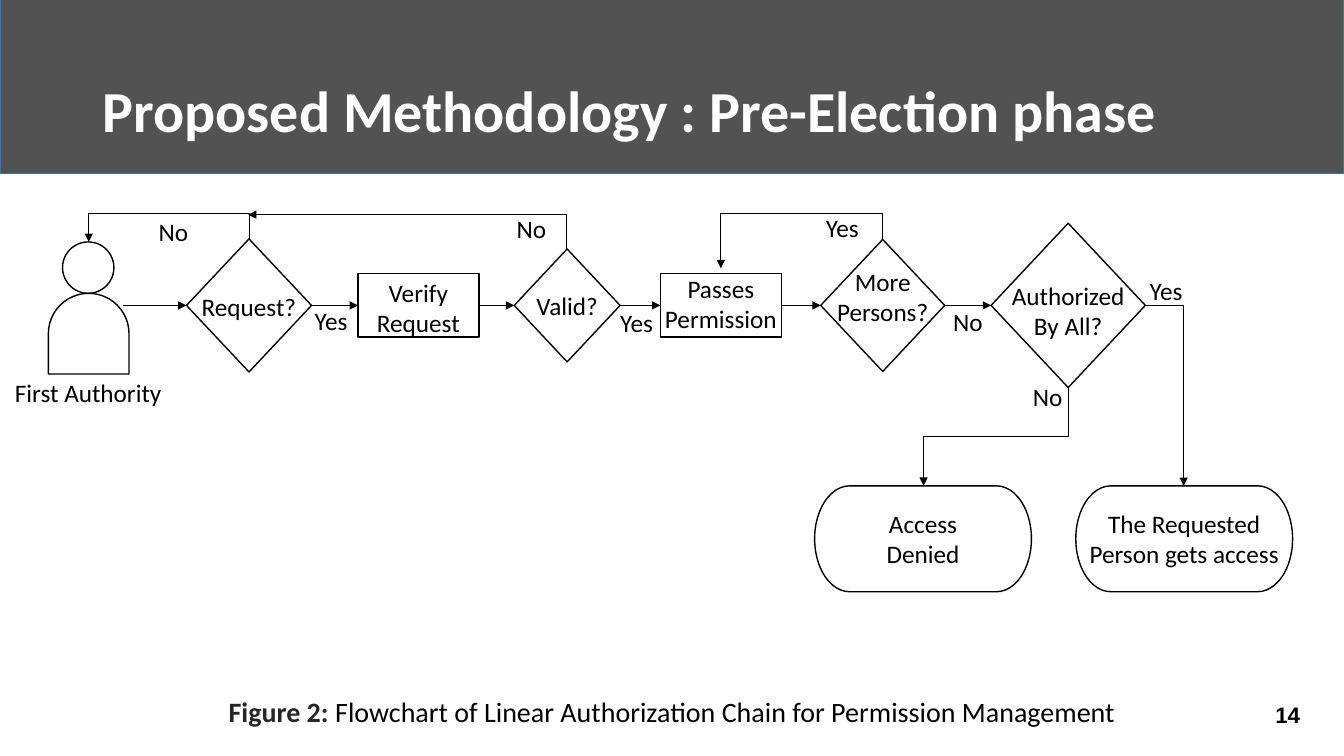
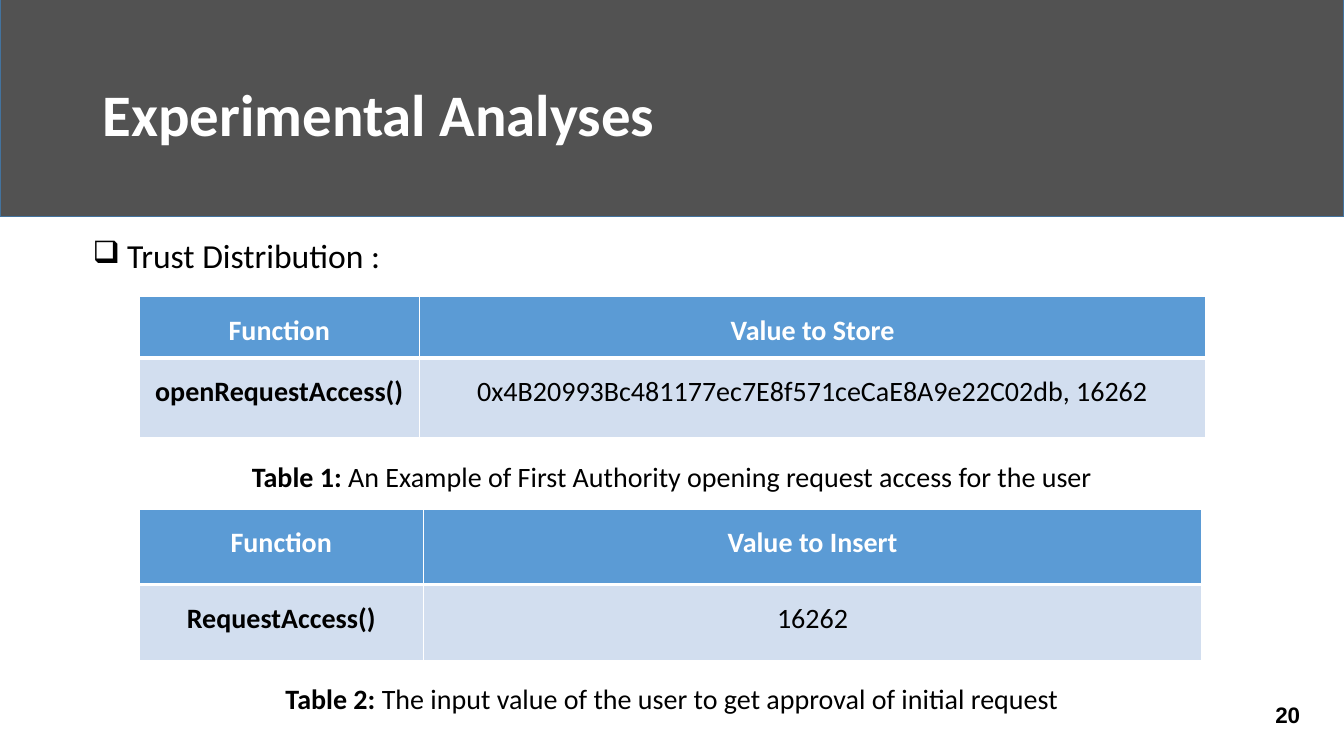
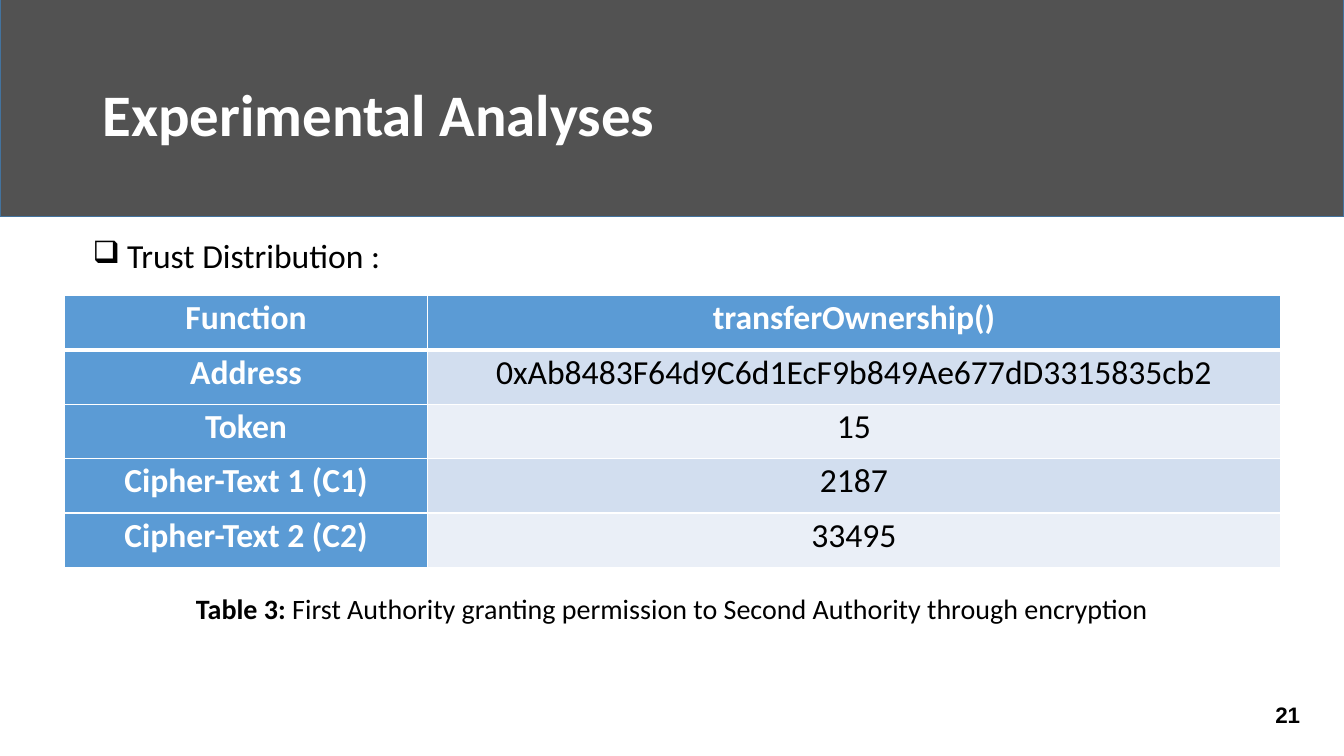
from lxml import etree
from pptx import Presentation
from pptx import util as u
from pptx.dml.color import RGBColor
from pptx.enum import shapes, text
from pptx.oxml.ns import qn

PX = 9144
FONT = "Calibri"
COLORS = {
    "band": "525252", "band_line": "43739E", "white": "FFFFFF", "black": "000000",
    "figure": "262626", "header": "5B9BD5", "odd": "D2DEEF", "even": "EAEFF7",
}
SHAPE = shapes.MSO_SHAPE
ALIGN = text.PP_ALIGN
ANCHOR = text.MSO_ANCHOR


def rgb(name):
    """Return the named colour."""
    return RGBColor.from_string(COLORS[name])


def emu(*lengths):
    """Turn px lengths into EMU."""
    return [u.Emu(round(v * PX)) for v in lengths]


def add_run(p, words, size, color="black", bold=False, font=FONT):
    """Add one formatted run to a paragraph."""
    r = p.add_run()
    r.text = words
    r.font.name, r.font.size, r.font.bold = font, u.Pt(size), bold
    r.font.color.rgb = rgb(color)


def space(p, line=None, before=None, after=None):
    """Set the line and paragraph spacing."""
    p.line_spacing = line
    p.space_before = None if before is None else u.Pt(before)
    p.space_after = None if after is None else u.Pt(after)


def add_box(s, box, wrap=True, align=ALIGN.CENTER):
    """Add a text box and return its frame and first paragraph."""
    tf = s.shapes.add_textbox(*emu(*box)).text_frame
    tf.word_wrap = wrap
    p = tf.paragraphs[0]
    p.alignment = align
    return tf, p


def add_shape(s, kind, box, fill="white", line="black"):
    """Add a flat preset shape with a thin outline."""
    sp = s.shapes.add_shape(kind, *emu(*box))
    sp.shadow.inherit = False
    sp.fill.solid()
    sp.fill.fore_color.rgb = rgb(fill)
    sp.line.color.rgb = rgb(line)
    sp.line.width = u.Pt(1)
    return sp


def add_node(s, kind, box, lines, nudge=0):
    """Add a flowchart node whose label is nudged down from its centre."""
    tf = add_shape(s, kind, box).text_frame
    tf.word_wrap = False
    tf.vertical_anchor = ANCHOR.MIDDLE
    tf.margin_left = tf.margin_right = 0
    tf.margin_top, tf.margin_bottom = emu(max(2 * nudge, 0), max(-2 * nudge, 0))
    for i, words in enumerate(lines):
        p = tf.add_paragraph() if i else tf.paragraphs[0]
        p.alignment = ALIGN.CENTER
        add_run(p, words, 18)


def add_arrow(s, kind, x1, y1, x2, y2):
    """Add a thin connector with an arrowhead at its end."""
    c = s.shapes.add_connector(kind, *emu(x1, y1, x2, y2))
    c.line.color.rgb = rgb("black")
    c.line.width = u.Pt(0.5)
    etree.SubElement(c.line._get_or_add_ln(), qn("a:tailEnd"), type="triangle")
    etree.SubElement(c._element.spPr, qn("a:effectLst"))
    return c


def add_elbow(s, start, end, via=None, upright=True):
    """Add a bent arrow that leaves vertically, or sideways if not upright."""
    (x1, y1), (x2, y2) = start, end
    if upright:
        cx, cy = (x1 + x2) / 2, (y1 + y2) / 2
        w, h = abs(y2 - y1), abs(x2 - x1)
        frame = (cx - w / 2, cy - h / 2, cx + w / 2, cy + h / 2)
    else:
        frame = (x1, y1, x2, y2)
    c = add_arrow(s, shapes.MSO_CONNECTOR.ELBOW, *frame)
    geom = c._element.spPr.find(qn("a:prstGeom"))
    if via is None:
        geom.set("prst", "bentConnector2")
    else:
        guides = geom.find(qn("a:avLst"))
        if guides is None:
            guides = etree.SubElement(geom, qn("a:avLst"))
        share = round((via - y1) / (y2 - y1) * 100000)
        etree.SubElement(guides, qn("a:gd"), name="adj1", fmla=f"val {share}")
    if upright:
        xfrm = c._element.spPr.find(qn("a:xfrm"))
        rises = (y2 if via is None else via) < y1
        xfrm.set("rot", str((270 if rises else 90) * 60000))
        if rises and y2 > y1:
            xfrm.set("flipH", "1")
        if rises and x2 < x1:
            xfrm.set("flipV", "1")


def add_frame(prs, title, number, size=42, band=220, top=44):
    """Add a slide with its band, title and number."""
    s = prs.slides.add_slide(prs.slide_layouts[6])
    add_shape(s, SHAPE.RECTANGLE, (0, -5, 1333, band), "band", "band_line")
    tf, p = add_box(s, (92, top, 1150, 145), align=ALIGN.LEFT)
    tf.vertical_anchor = ANCHOR.MIDDLE
    space(p, 0.9)
    add_run(p, title, size, "white", True)
    tf, p = add_box(s, (1255, 691, 48, 37), align=ALIGN.LEFT)
    add_run(p, str(number), 16, bold=True, font="Arial")
    return s


def add_caption(s, box, label, words, color="black", spaced=True):
    """Add a centred caption with a bold label."""
    tf, p = add_box(s, box, wrap=not spaced)
    if spaced:
        space(p, 1.5, 12, 6)
    add_run(p, label + " ", 20, color, True)
    add_run(p, words, 20)


def add_topic(s, box, words):
    """Add a topic line with a square bullet."""
    tf, p = add_box(s, box, align=ALIGN.JUSTIFY)
    tf.margin_left = tf.margin_right = 0
    space(p, 0.9, 20, 2)
    pPr = p._p.get_or_add_pPr()
    pPr.set("marL", str(10 * PX))
    pPr.set("indent", str(-10 * PX))
    etree.SubElement(pPr, qn("a:buChar"), char="❑")
    add_run(p, " ", 22)
    add_run(p, words, 24)


def add_borders(cell, row):
    """Give a cell white borders, thick between header and body."""
    tcPr = cell._tc.get_or_add_tcPr()
    thick = {0: "lnB", 1: "lnT"}.get(row)
    for side in ("lnL", "lnR", "lnT", "lnB"):
        width = u.Pt(3 if side == thick else 1)
        ln = etree.SubElement(tcPr, qn("a:" + side), w=str(width))
        fill = etree.SubElement(ln, qn("a:solidFill"))
        etree.SubElement(fill, qn("a:srgbClr"), val=COLORS["white"])


def add_table(s, x, y, cols, heights, rows, size=20, inset=7, spacing=(1.5, 12, 6),
              header_col=False):
    """Add a two-tone table with a blue header row."""
    box = emu(x, y, sum(cols), sum(heights))
    table = s.shapes.add_table(len(rows), len(cols), *box).table
    table.horz_banding = False
    for col, width in zip(table.columns, emu(*cols)):
        col.width = width
    for row, height in zip(table.rows, emu(*heights)):
        row.height = height
    for i, values in enumerate(rows):
        for j, words in enumerate(values):
            cell = table.cell(i, j)
            header = i == 0 or (header_col and j == 0)
            add_borders(cell, i)
            cell.fill.solid()
            cell.fill.fore_color.rgb = rgb("header" if header else "odd" if i % 2 else "even")
            cell.margin_left = cell.margin_right = emu(inset)[0]
            cell.margin_top = cell.margin_bottom = 0
            p = cell.text_frame.paragraphs[0]
            p.alignment = ALIGN.CENTER
            space(p, *spacing)
            add_run(p, words, size, "white" if header else "black", header or j == 0)


def add_flowchart(s, x, y):
    """Add the authorization flowchart with its top left at x, y."""
    axis = y + 103
    steps = [
        (SHAPE.DIAMOND, 185, 124, 132, ["Request?"], 1),
        (SHAPE.RECTANGLE, 355, 120, 63, ["Verify", "Request"], 2),
        (SHAPE.DIAMOND, 510, 105, 112, ["Valid?"], 0),
        (SHAPE.RECTANGLE, 655, 120, 63, ["Passes", "Permission"], -2),
        (SHAPE.DIAMOND, 814, 123, 131, ["More", "Persons?"], -9),
        (SHAPE.DIAMOND, 983, 153, 163, ["Authorized", "By All?"], 5),
    ]
    add_shape(s, SHAPE.FLOWCHART_CONNECTOR, (x + 62, y + 40, 51, 51))
    add_shape(s, SHAPE.FLOWCHART_DELAY, (x + 48, y + 91, 80, 80)).rotation = 270
    tail = x + 122
    for kind, left, w, h, lines, nudge in steps:
        add_node(s, kind, (x + left, axis - h / 2, w, h), lines, nudge)
        add_arrow(s, shapes.MSO_CONNECTOR.STRAIGHT, tail, axis, x + left, axis)
        tail = x + left + w
    for left, lines in ((808, ["Access", "Denied"]),
                        (1067, ["The Requested", "Person gets access"])):
        add_node(s, SHAPE.FLOWCHART_TERMINATOR, (x + left, y + 282, 215, 105), lines)
    for start, end, via, upright in (
        ((1060, 185), (916, 282), 233, True),
        ((1136, 103), (1174, 282), None, False),
        ((247, 37), (88, 40), 12, True),
        ((562, 47), (246, 13), None, True),
        ((875, 37), (715, 66), 12, True),
    ):
        add_elbow(s, (x + start[0], y + start[1]), (x + end[0], y + end[1]),
                  None if via is None else y + via, upright)
    for words, left, top, w in (
        ("Yes", 302, 98, 53), ("Yes", 605, 100, 53), ("No", 935, 99, 50),
        ("No", 147, 10, 50), ("No", 502, 7, 50), ("Yes", 809, 6, 53),
        ("Yes", 1130, 68, 53), ("No", 1014, 173, 50), ("First Authority", 4, 169, 167),
    ):
        tf, p = add_box(s, (x + left, y + top, w, 40), wrap=False)
        add_run(p, words, 18)


def main():
    """Build the three slides."""
    prs = Presentation()
    prs.slide_width, prs.slide_height = u.Inches(13.33), u.Inches(7.5)

    s = add_frame(prs, "Proposed Methodology : Pre-Election phase", 14, 41.4, 177, 40)
    add_flowchart(s, 0, 200)
    add_caption(s, (137, 684, 1059, 44), "Figure 2:",
                "Flowchart of Linear Authorization Chain for Permission Management",
                "figure", spaced=False)

    topic_box = (92, 233, 1100, 440)
    s = add_frame(prs, "Experimental Analyses", 20)
    add_topic(s, topic_box, "Trust Distribution :")
    add_table(s, 138, 294, (278, 780), (61, 79), [
        ("Function", "Value to Store"),
        ("openRequestAccess()", "0x4B20993Bc481177ec7E8f571ceCaE8A9e22C02db, 16262"),
    ])
    add_caption(s, (225, 434, 883, 103), "Table 1:",
                "An Example of First Authority opening request access for the user")
    add_table(s, 138, 505, (282, 772), (75, 75), [
        ("Function", "Value to Insert"),
        ("RequestAccess()", "16262"),
    ])
    add_caption(s, (266, 654, 801, 61), "Table 2:",
                "The input value of the user to get approval of initial request")

    s = add_frame(prs, "Experimental Analyses", 21)
    add_topic(s, topic_box, "Trust Distribution :")
    add_caption(s, (166, 565, 1001, 103), "Table 3:",
                "First Authority granting permission to Second Authority through encryption")
    add_table(s, 64, 293, (360, 846), [54] * 5, [
        ("Function", "transferOwnership()"),
        ("Address", "0xAb8483F64d9C6d1EcF9b849Ae677dD3315835cb2"),
        ("Token", "15"),
        ("Cipher-Text 1 (C1)", "2187"),
        ("Cipher-Text 2 (C2)", "33495"),
    ], size=24, inset=15, spacing=(1.06, None, 8), header_col=True)

    prs.save("out.pptx")


if __name__ == "__main__":
    main()
